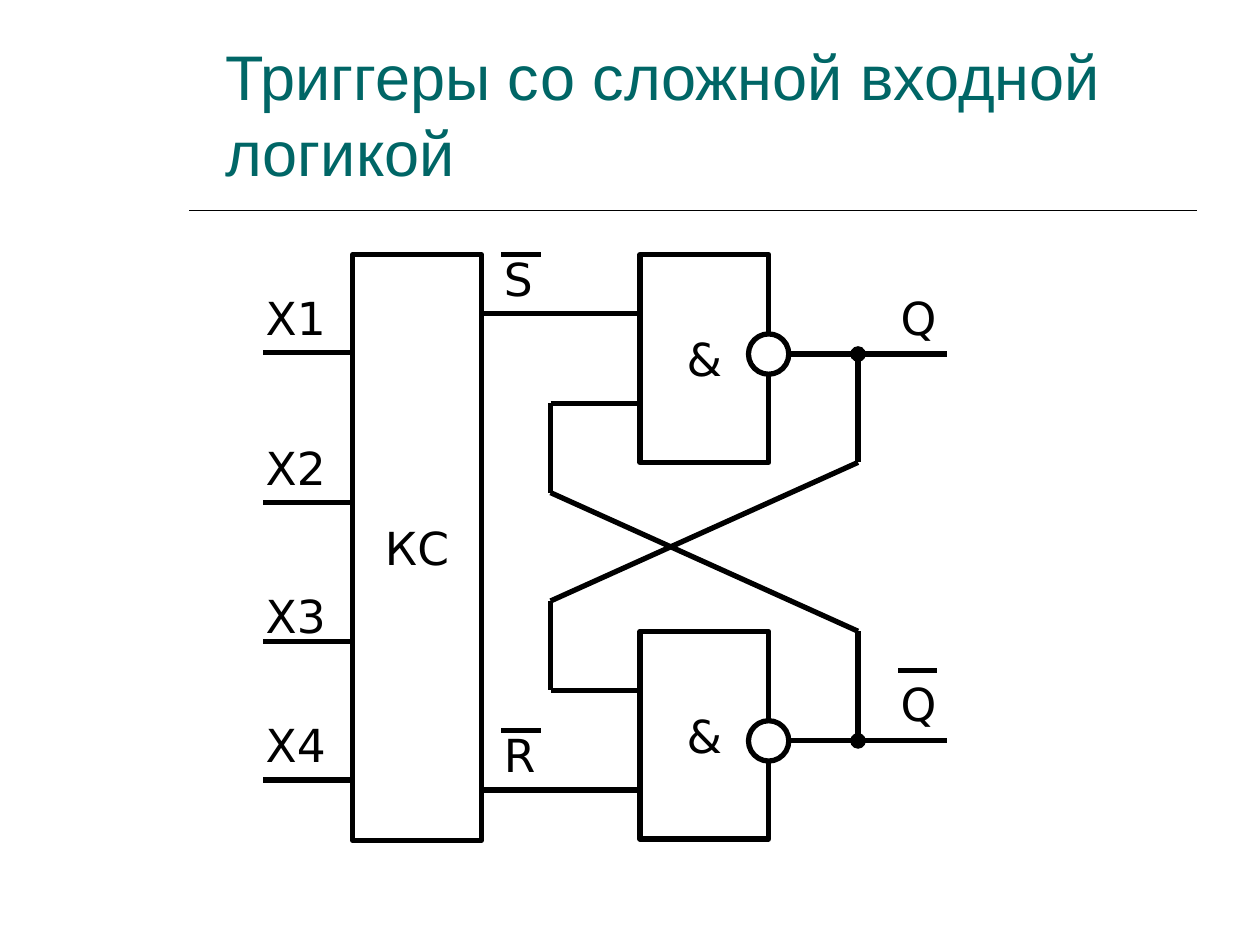
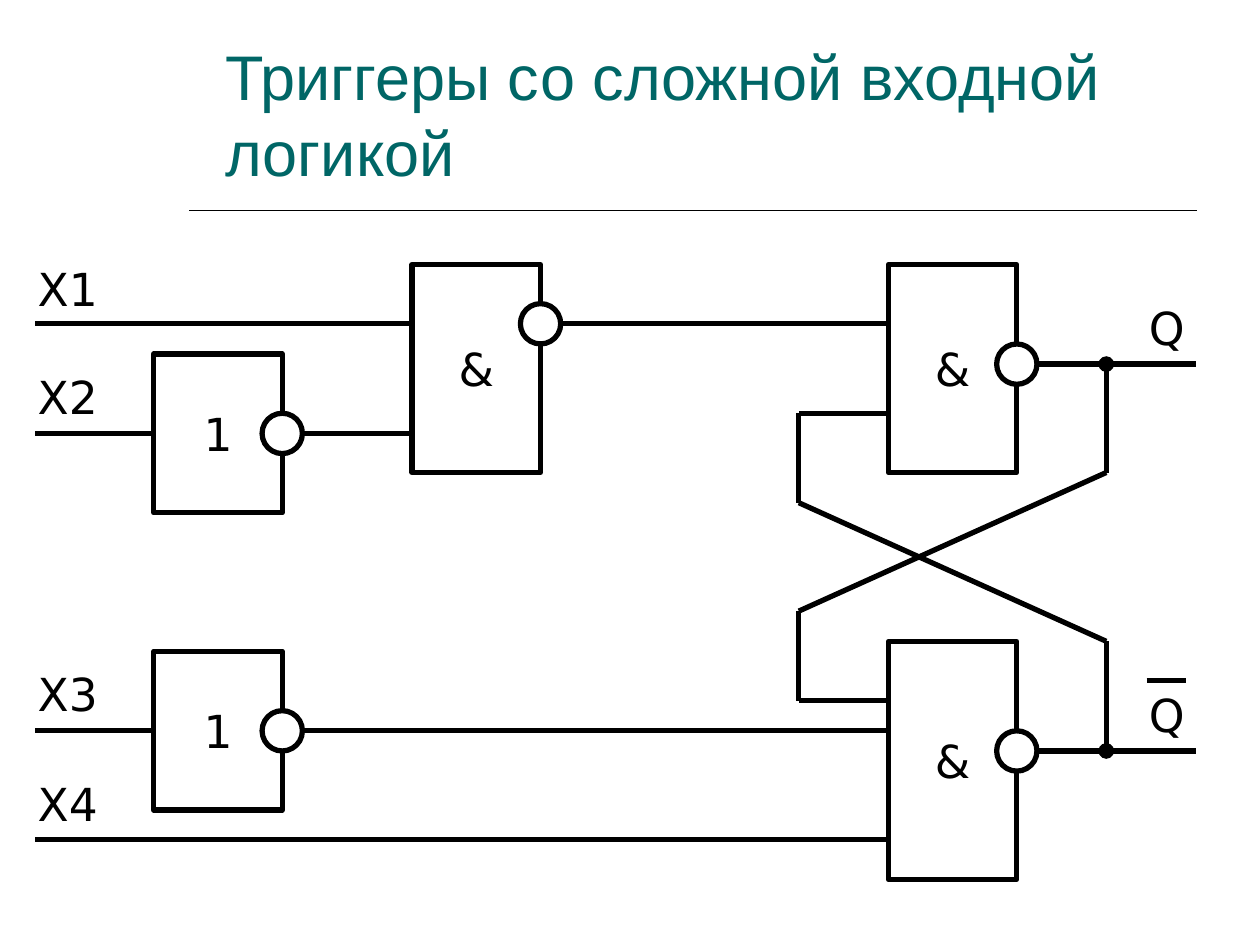
from dataclasses import dataclass
from itertools import pairwise

from pptx import Presentation
from pptx.dml.color import RGBColor
from pptx.enum import shapes, text
from pptx.oxml import ns, xmlchemy
from pptx.util import Inches, Pt


# Theme
@dataclass(frozen=True)
class Theme:
    accent: RGBColor = RGBColor(0x00, 0x66, 0x66)
    ink: RGBColor = RGBColor(0x00, 0x00, 0x00)
    paper: RGBColor = RGBColor(0xFF, 0xFF, 0xFF)
    title_font: str = "Arial"
    label_font: str = "DejaVu Sans"
    title_size: int = 36
    label_size: int = 26
    wire: int = 3
    rule: int = 1


THEME = Theme()
TITLE = "Триггеры со сложной входной логикой"
TITLE_BOX = (1.69, 0.08, 7.84, 1.47)
RULE = [(1.5, 1.67), (9.5, 1.67)]
GATE_WIDTH, GATE_HEIGHT, INVERTER_HEIGHT = 1.02, 1.65, 1.26
BUBBLE = 0.32
LABEL_HEIGHT, BAR_INDENT, BAR_LENGTH = 0.54, 0.08, 0.31

# The latch shared by both circuits, measured from the upper gate's corner
LATCH = {
    # symbol, left, top, height, y of the inverting output (or None)
    "gates": [("&", 0, 0, GATE_HEIGHT, 0.79), ("&", 0, 2.99, GATE_HEIGHT, 3.86)],
    "wires": [
        [(1.02, 0.79), (2.44, 0.79)],
        [(1.02, 3.86), (2.44, 3.86)],
    ],
    # crossed feedback wires, each starting at a junction dot
    "feedback": [
        [(1.73, 0.79), (1.73, 1.65), (-0.71, 2.75), (-0.71, 3.46), (0, 3.46)],
        [(1.73, 3.86), (1.73, 2.99), (-0.71, 1.89), (-0.71, 1.18), (0, 1.18)],
    ],
    # text, left, top, bar offset below the top (or None)
    "labels": [("Q", 1.97, 0.23, None), ("Q", 1.97, 3.3, 0)],
}

# Circuits, in slide inches
CIRCUITS = [
    {
        "latch_at": (5.08, 2.02),
        "lower_gate_height": GATE_HEIGHT,
        "gates": [("КС", 2.8, 2.02, 4.65, None)],
        "wires": [[(2.09, y), (2.8, y)] for y in (2.8, 3.99, 5.09, 6.19)]
        + [[(3.82, y), (5.08, y)] for y in (2.49, 6.27)],
        "labels": [
            ("X1", 2.01, 2.25, None),
            ("X2", 2.01, 3.44, None),
            ("X3", 2.01, 4.62, None),
            ("X4", 2.01, 5.64, None),
            ("S", 3.9, 1.94, 0.08),
            ("R", 3.9, 5.72, 0.08),
        ],
    },
    {
        "latch_at": (7.05, 2.1),
        "lower_gate_height": 1.89,
        "gates": [
            ("&", 3.27, 2.1, GATE_HEIGHT, 2.57),
            ("1", 1.22, 2.81, INVERTER_HEIGHT, 3.44),
            ("1", 1.22, 5.17, INVERTER_HEIGHT, 5.8),
        ],
        "wires": [
            [(0.28, 2.57), (3.27, 2.57)],
            [(4.45, 2.57), (7.05, 2.57)],
            [(0.28, 3.44), (1.22, 3.44)],
            [(2.4, 3.44), (3.27, 3.44)],
            [(0.28, 5.8), (1.22, 5.8)],
            [(2.4, 5.8), (7.05, 5.8)],
            [(0.28, 6.66), (7.05, 6.66)],
        ],
        "labels": [
            ("X1", 0.2, 2.02, None),
            ("X2", 0.2, 2.88, None),
            ("X3", 0.2, 5.24, None),
            ("X4", 0.2, 6.11, None),
        ],
    },
]


# Drawing helpers
def write(shape, content, font=THEME.label_font, size=THEME.label_size,
          color=THEME.ink, align=text.PP_ALIGN.LEFT,
          anchor=text.MSO_ANCHOR.TOP, wrap=True):
    frame = shape.text_frame
    frame.text = content
    frame.word_wrap = wrap
    frame.auto_size = text.MSO_AUTO_SIZE.NONE
    frame.vertical_anchor = anchor
    paragraph = frame.paragraphs[0]
    paragraph.alignment = align
    run_font = paragraph.runs[0].font
    run_font.name, run_font.size = font, Pt(size)
    run_font.color.rgb = color


def add_wire(slide, points, width=THEME.wire, dot=False):
    for index, (start, end) in enumerate(pairwise(points)):
        connector = slide.shapes.add_connector(
            shapes.MSO_CONNECTOR.STRAIGHT, *map(Inches, start + end))
        connector.line.color.rgb = THEME.ink
        connector.line.width = Pt(width)
        properties = connector._element.spPr
        properties.append(xmlchemy.OxmlElement("a:effectLst"))
        if dot and index == 0:
            head = xmlchemy.OxmlElement("a:headEnd")
            head.set("type", "oval")
            properties.find(ns.qn("a:ln")).append(head)


def add_outline(slide, kind, *box):
    shape = slide.shapes.add_shape(kind, *map(Inches, box))
    shape.shadow.inherit = False
    shape.fill.solid()
    shape.fill.fore_color.rgb = THEME.paper
    shape.line.color.rgb = THEME.ink
    shape.line.width = Pt(THEME.wire)
    return shape


def add_gate(slide, symbol, left, top, height, output):
    gate = add_outline(slide, shapes.MSO_SHAPE.RECTANGLE, left, top, GATE_WIDTH, height)
    write(gate, symbol, align=text.PP_ALIGN.CENTER,
          anchor=text.MSO_ANCHOR.MIDDLE, wrap=False)
    if output is not None:
        add_outline(slide, shapes.MSO_SHAPE.OVAL, left + GATE_WIDTH - BUBBLE / 2,
                    output - BUBBLE / 2, BUBBLE, BUBBLE)


def add_label(slide, content, left, top, bar):
    width = 0.71 if len(content) > 1 else 0.55
    box = slide.shapes.add_textbox(*map(Inches, (left, top, width, LABEL_HEIGHT)))
    write(box, content)
    if bar is not None:
        start = left + BAR_INDENT
        add_wire(slide, [(start, top + bar), (start + BAR_LENGTH, top + bar)])


def place_latch(circuit):
    """Return the latch moved to its place in the circuit."""
    dx, dy = circuit["latch_at"]

    def move(wires):
        return [[(x + dx, y + dy) for x, y in wire] for wire in wires]

    gates = [(symbol, x + dx, y + dy, height, output + dy)
             for symbol, x, y, height, output in LATCH["gates"]]
    symbol, left, top, _, output = gates[1]
    gates[1] = (symbol, left, top, circuit["lower_gate_height"], output)
    labels = [(content, x + dx, y + dy, bar) for content, x, y, bar in LATCH["labels"]]
    return gates, move(LATCH["wires"]), move(LATCH["feedback"]), labels


# Slides
def add_base_slide(presentation):
    slide = presentation.slides.add_slide(presentation.slide_layouts[5])
    title = slide.shapes.title
    title.left, title.top, title.width, title.height = map(Inches, TITLE_BOX)
    write(title, TITLE, font=THEME.title_font, size=THEME.title_size,
          color=THEME.accent, anchor=text.MSO_ANCHOR.BOTTOM)
    add_wire(slide, RULE, width=THEME.rule)
    return slide


def add_circuit(slide, circuit):
    gates, wires, feedback, labels = place_latch(circuit)
    for wire in wires + circuit["wires"]:
        add_wire(slide, wire)
    for wire in feedback:
        add_wire(slide, wire, dot=True)
    for gate in gates + circuit["gates"]:
        add_gate(slide, *gate)
    for label in labels + circuit["labels"]:
        add_label(slide, *label)


def main():
    presentation = Presentation()
    presentation.slide_width, presentation.slide_height = Inches(10), Inches(7.5)
    for circuit in CIRCUITS:
        add_circuit(add_base_slide(presentation), circuit)
    presentation.save("out.pptx")


if __name__ == "__main__":
    main()
